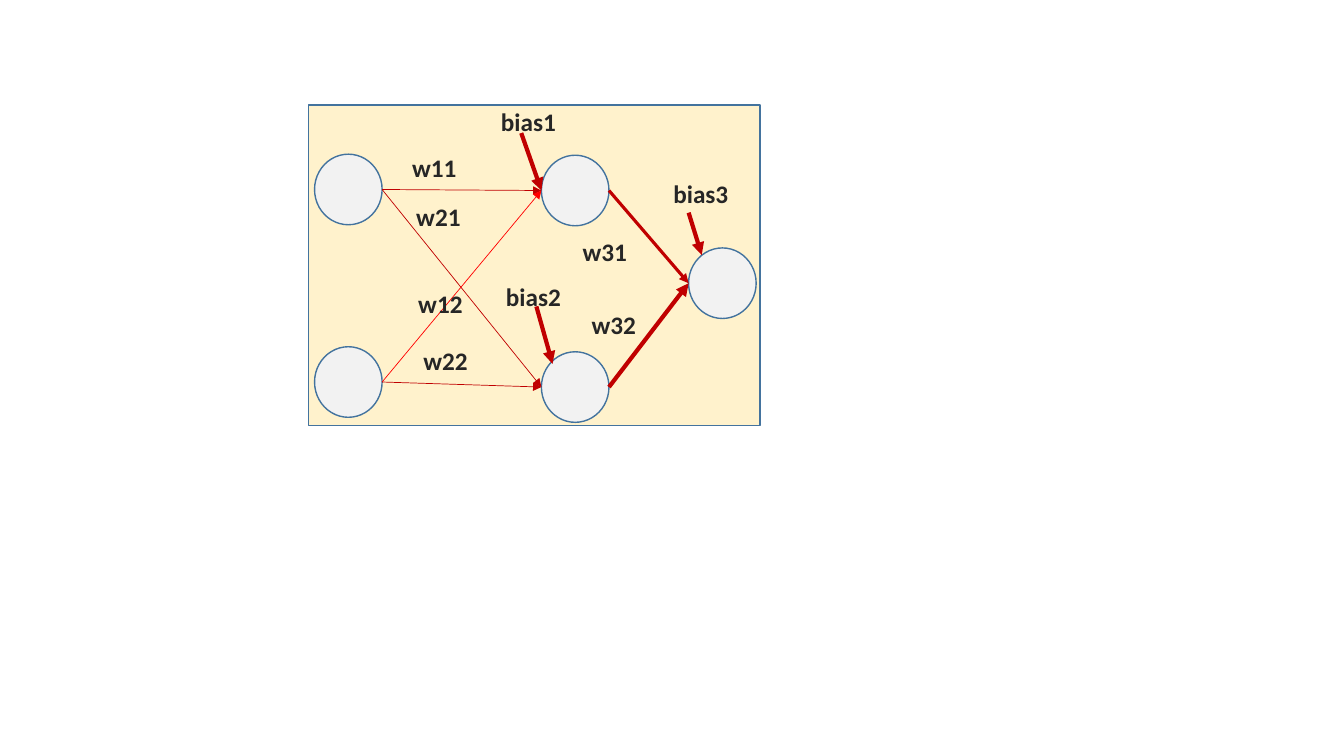
from dataclasses import dataclass

from lxml.etree import SubElement
from pptx import Presentation
from pptx.dml.color import RGBColor
from pptx.enum.shapes import MSO_CONNECTOR as Connector, MSO_SHAPE as Shape
from pptx.enum.text import MSO_AUTO_SIZE as AutoSize
from pptx.oxml.ns import qn
from pptx.util import Inches, Pt


@dataclass(frozen=True)
class Theme:
    """Colours, type and line widths of the slide."""
    panel: str = "FFF2CC"
    neuron: str = "F2F2F2"
    outline: str = "43739E"
    arrow: str = "C00000"
    bright_arrow: str = "FF0000"
    text: str = "262626"
    font: str = "Calibri"
    label_size: float = 18
    outline_width: float = 1
    thin: float = 0.5
    medium: float = 2.25
    thick: float = 3


THEME = Theme()
NEURON_WIDTH, NEURON_HEIGHT = 0.67, 0.7

NEURONS = {
    "input1": (3.12, 1.53),
    "input2": (3.12, 3.44),
    "hidden1": (5.37, 1.54),
    "hidden2": (5.37, 3.49),
    "output": (6.83, 2.46),
}
WEIGHTS = [
    ("input1", "hidden1", THEME.thin, THEME.arrow),
    ("input1", "hidden2", THEME.thin, THEME.arrow),
    ("input2", "hidden1", THEME.thin, THEME.bright_arrow),
    ("input2", "hidden2", THEME.thin, THEME.arrow),
    ("hidden1", "output", THEME.medium, THEME.arrow),
    ("hidden2", "output", THEME.thick, THEME.arrow),
]
BIASES = [
    ((5.17, 1.32), (5.37, 1.89)),
    ((5.32, 3.04), (5.48, 3.61)),
    ((6.83, 2.11), (6.96, 2.53)),
]
LABELS = [
    ("bias1", 4.87, 1.01, 0.92),
    ("bias2", 4.92, 2.74, 0.84),
    ("bias3", 6.58, 1.72, 0.92),
    ("w11", 3.99, 1.46, 0.83),
    ("w21", 4.03, 1.95, 0.79),
    ("w12", 4.05, 2.81, 0.97),
    ("w22", 4.1, 3.38, 0.66),
    ("w31", 5.68, 2.3, 0.93),
    ("w32", 5.77, 3.02, 0.93),
]


def add_outlined(slide, kind, left, top, width, height, fill):
    """Add a filled preset shape with the common outline."""
    outlined = slide.shapes.add_shape(
        kind, Inches(left), Inches(top), Inches(width), Inches(height))
    outlined.shadow.inherit = False
    outlined.fill.solid()
    outlined.fill.fore_color.rgb = RGBColor.from_string(fill)
    outlined.line.color.rgb = RGBColor.from_string(THEME.outline)
    outlined.line.width = Pt(THEME.outline_width)


def add_arrow(slide, start, end, width=THEME.thick, color=THEME.arrow):
    """Add a straight arrow from start to end."""
    arrow = slide.shapes.add_connector(
        Connector.STRAIGHT, *map(Inches, (*start, *end)))
    arrow.line.width = Pt(width)
    arrow.line.color.rgb = RGBColor.from_string(color)
    SubElement(arrow.line._get_or_add_ln(), qn("a:tailEnd"), type="triangle")
    SubElement(arrow._element.spPr, qn("a:effectLst"))


def add_text(slide, text, left, top, width, *, height=0.4,
             size=THEME.label_size, color=THEME.text, bold=True):
    """Add a text box with one formatted line."""
    label = slide.shapes.add_textbox(
        Inches(left), Inches(top), Inches(width), Inches(height))
    frame = label.text_frame
    frame.word_wrap = True
    frame.auto_size = AutoSize.SHAPE_TO_FIT_TEXT
    run = frame.paragraphs[0].add_run()
    run.text = text
    run.font.name = THEME.font
    run.font.size = Pt(size)
    run.font.bold = bold
    run.font.color.rgb = RGBColor.from_string(color)


def left_side(neuron):
    """Return the middle of a neuron's left side."""
    left, top = NEURONS[neuron]
    return left, top + NEURON_HEIGHT / 2


def right_side(neuron):
    """Return the middle of a neuron's right side."""
    left, middle = left_side(neuron)
    return left + NEURON_WIDTH, middle


def main():
    """Build the neural network slide and save it."""
    deck = Presentation()
    deck.slide_width, deck.slide_height = Inches(13.33), Inches(7.5)
    slide = deck.slides.add_slide(deck.slide_layouts[6])

    add_outlined(slide, Shape.RECTANGLE, 3.06, 1.04, 4.48, 3.18, THEME.panel)
    for left, top in NEURONS.values():
        add_outlined(slide, Shape.OVAL, left, top,
                     NEURON_WIDTH, NEURON_HEIGHT, THEME.neuron)
    for source, target, width, color in WEIGHTS:
        add_arrow(slide, right_side(source), left_side(target), width, color)
    for start, end in BIASES:
        add_arrow(slide, start, end)
    for text, left, top, width in LABELS:
        add_text(slide, text, left, top, width)

    deck.save("out.pptx")


if __name__ == "__main__":
    main()
